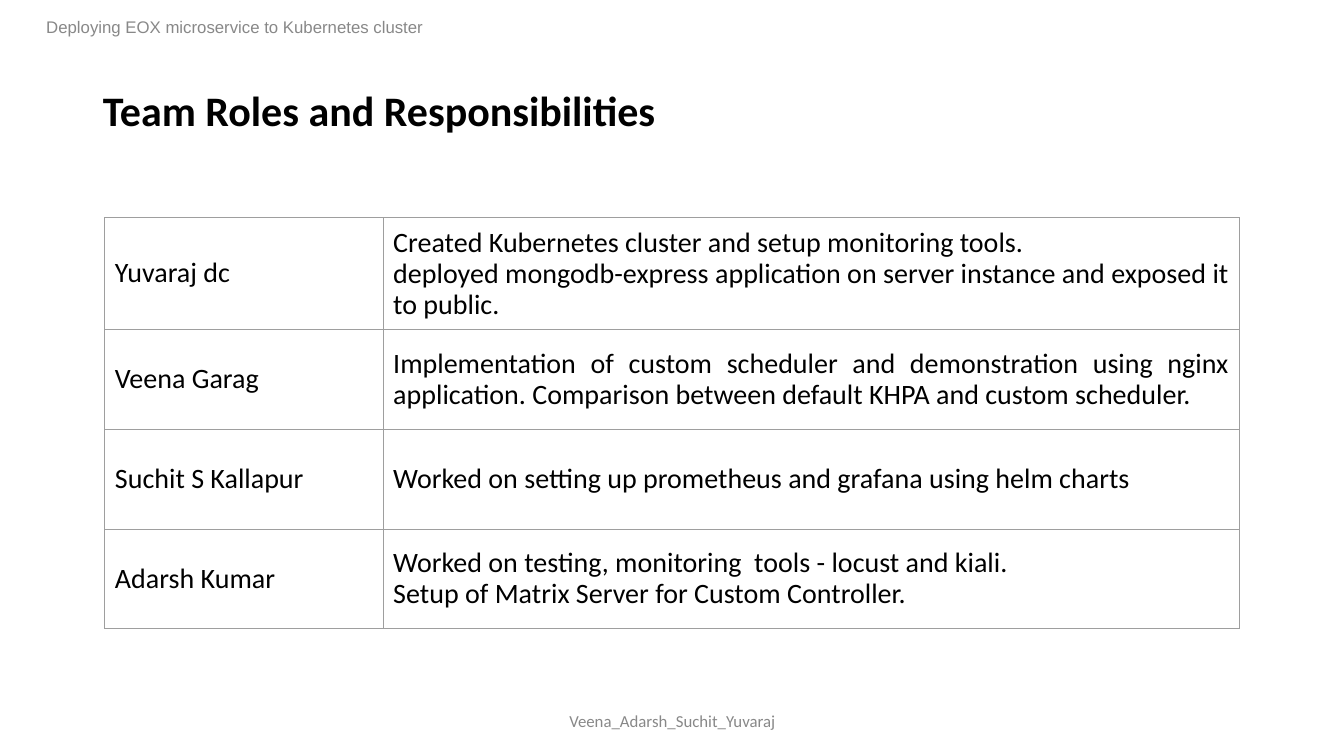
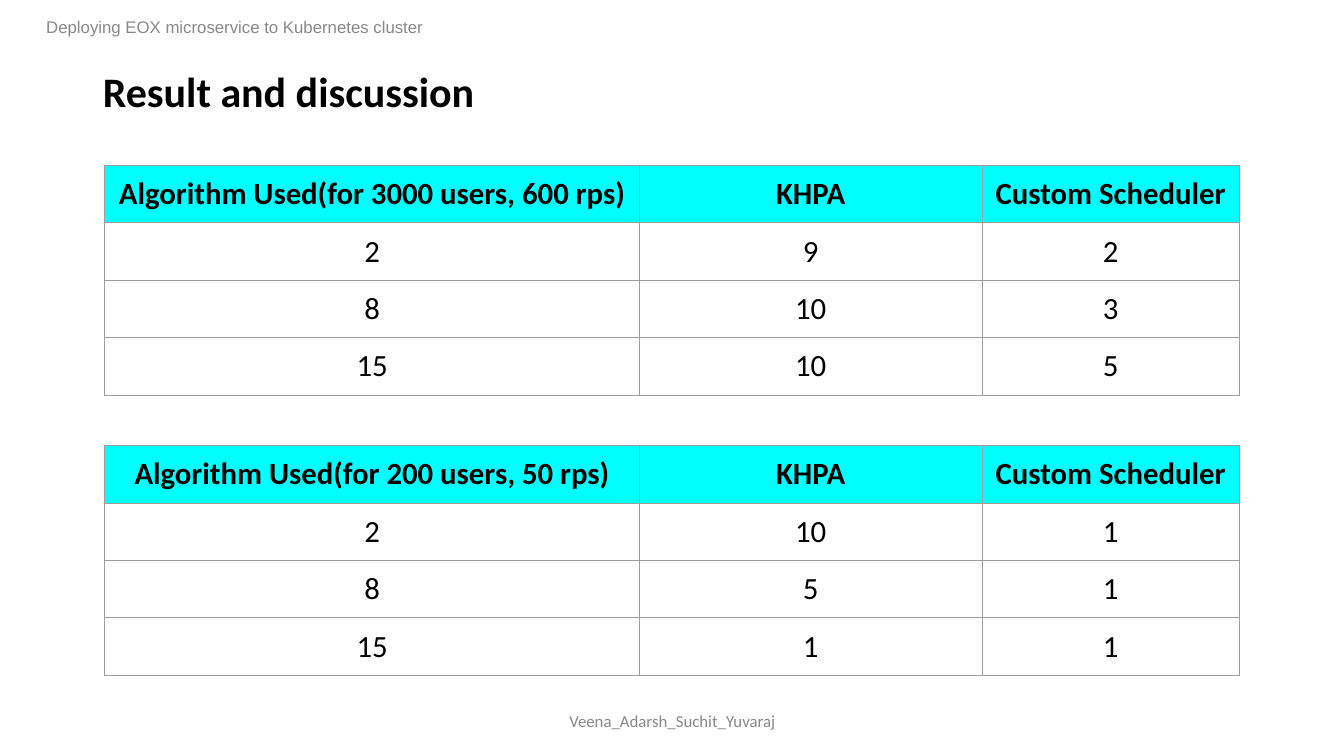
from lxml import etree
from pptx import Presentation
from pptx.dml.color import RGBColor
from pptx.enum.text import MSO_ANCHOR, MSO_AUTO_SIZE, PP_ALIGN
from pptx.oxml.ns import qn
from pptx.util import Inches, Pt

LEFT, CENTER, JUSTIFY = PP_ALIGN.LEFT, PP_ALIGN.CENTER, PP_ALIGN.JUSTIFY
MIDDLE = MSO_ANCHOR.MIDDLE
NO_AUTOFIT = MSO_AUTO_SIZE.NONE
TITLE_ONLY = 5

COLORS = {"text": "000000", "muted": "888888", "border": "9E9E9E", "header": "00FFFF"}
TABLE_LEFT = 1.04
ROLE_COLUMNS = [2.76, 8.49]
ROLE_ROWS = [1.11, 0.99, 0.99, 0.99]
RESULT_COLUMNS = [5.3, 3.4, 2.55]
RESULT_ROW = 0.57

ROLES = [
    ("Yuvaraj dc",
     "Created Kubernetes cluster and setup monitoring tools.\n"
     "deployed mongodb-express application on server instance and exposed it to public."),
    ("Veena Garag",
     "Implementation of custom scheduler and demonstration using nginx application. "
     "Comparison between default KHPA and custom scheduler."),
    ("Suchit S Kallapur", "Worked on setting up prometheus and grafana using helm charts"),
    ("Adarsh Kumar",
     "Worked on testing, monitoring  tools - locust and kiali.\n"
     "Setup of Matrix Server for Custom Controller."),
]
RESULTS = [
    (1.64, "3000 users, 600 rps", [(2, 9, 2), (8, 10, 3), (15, 10, 5)]),
    (4.42, "200 users, 50 rps", [(2, 10, 1), (8, 5, 1), (15, 1, 1)]),
]


def write(frame, text, size, font="Calibri", color="text", bold=False,
          align=LEFT, spacing=1.0):
    frame.text = text
    for paragraph in frame.paragraphs:
        paragraph.alignment = align
        paragraph.line_spacing = spacing
        paragraph.font.size = Pt(size)
        paragraph.font.name = font
        paragraph.font.bold = bold
        paragraph.font.color.rgb = RGBColor.from_string(COLORS[color])


def add_caption(slide, text, left, top, font):
    caption = slide.shapes.add_textbox(Inches(left), Inches(top), Inches(4.5), Inches(0.4))
    frame = caption.text_frame
    frame.word_wrap = True
    frame.vertical_anchor = MIDDLE
    write(frame, text, 12, font=font, color="muted", align=CENTER)


def add_titled_slide(deck, heading, top, height):
    slide = deck.slides.add_slide(deck.slide_layouts[TITLE_ONLY])
    title = slide.shapes.title
    title.left, title.top = Inches(0.92), Inches(top)
    title.width, title.height = Inches(11.5), Inches(height)
    title.text_frame.auto_size = NO_AUTOFIT
    title.text_frame.vertical_anchor = MIDDLE
    write(title.text_frame, heading, 30, bold=True, spacing=0.9)
    add_caption(slide, "Deploying EOX microservice to Kubernetes cluster", 0.08, 0.07, "Arial")
    add_caption(slide, "Veena_Adarsh_Suchit_Yuvaraj", 4.42, 6.95, "Calibri")
    return slide


def add_borders(cell):
    properties = cell._tc.get_or_add_tcPr()
    for side in ("lnL", "lnR", "lnT", "lnB"):
        line = etree.SubElement(properties, qn(f"a:{side}"), w=str(Pt(0.75)))
        fill = etree.SubElement(line, qn("a:solidFill"))
        etree.SubElement(fill, qn("a:srgbClr"), val=COLORS["border"])


def add_grid(slide, top, columns, heights, rows, has_header=False, **text_format):
    frame = slide.shapes.add_table(
        len(rows), len(columns), Inches(TABLE_LEFT), Inches(top),
        Inches(sum(columns)), Inches(sum(heights)))
    grid = frame.table
    grid.first_row = has_header
    grid.horz_banding = False
    for column, width in zip(grid.columns, columns):
        column.width = Inches(width)
    for r, (values, height) in enumerate(zip(rows, heights)):
        grid.rows[r].height = Inches(height)
        is_header = has_header and r == 0
        for c, value in enumerate(values):
            cell = grid.cell(r, c)
            cell.margin_left = cell.margin_right = Inches(0.1)
            cell.margin_top = cell.margin_bottom = Inches(0.1)
            cell.vertical_anchor = MIDDLE
            add_borders(cell)
            if is_header:
                cell.fill.solid()
                cell.fill.fore_color.rgb = RGBColor.from_string(COLORS["header"])
            else:
                cell.fill.background()
            write(cell.text_frame, str(value), bold=is_header, **text_format)


def build_roles_slide(deck):
    slide = add_titled_slide(deck, "Team Roles and Responsibilities", 0.4, 1.45)
    add_grid(slide, 2.16, ROLE_COLUMNS, ROLE_ROWS, ROLES,
             size=20, align=JUSTIFY, spacing=0.9)


def build_results_slide(deck):
    slide = add_titled_slide(deck, "Result and discussion", 0.47, 0.92)
    for top, load, measurements in RESULTS:
        header = (f"Algorithm Used(for {load})", "KHPA", "Custom Scheduler")
        rows = [header, *measurements]
        add_grid(slide, top, RESULT_COLUMNS, [RESULT_ROW] * len(rows), rows,
                 has_header=True, size=22, align=CENTER)


def main():
    deck = Presentation()
    deck.slide_width, deck.slide_height = Inches(13.33), Inches(7.5)
    build_roles_slide(deck)
    build_results_slide(deck)
    deck.save("out.pptx")


if __name__ == "__main__":
    main()
